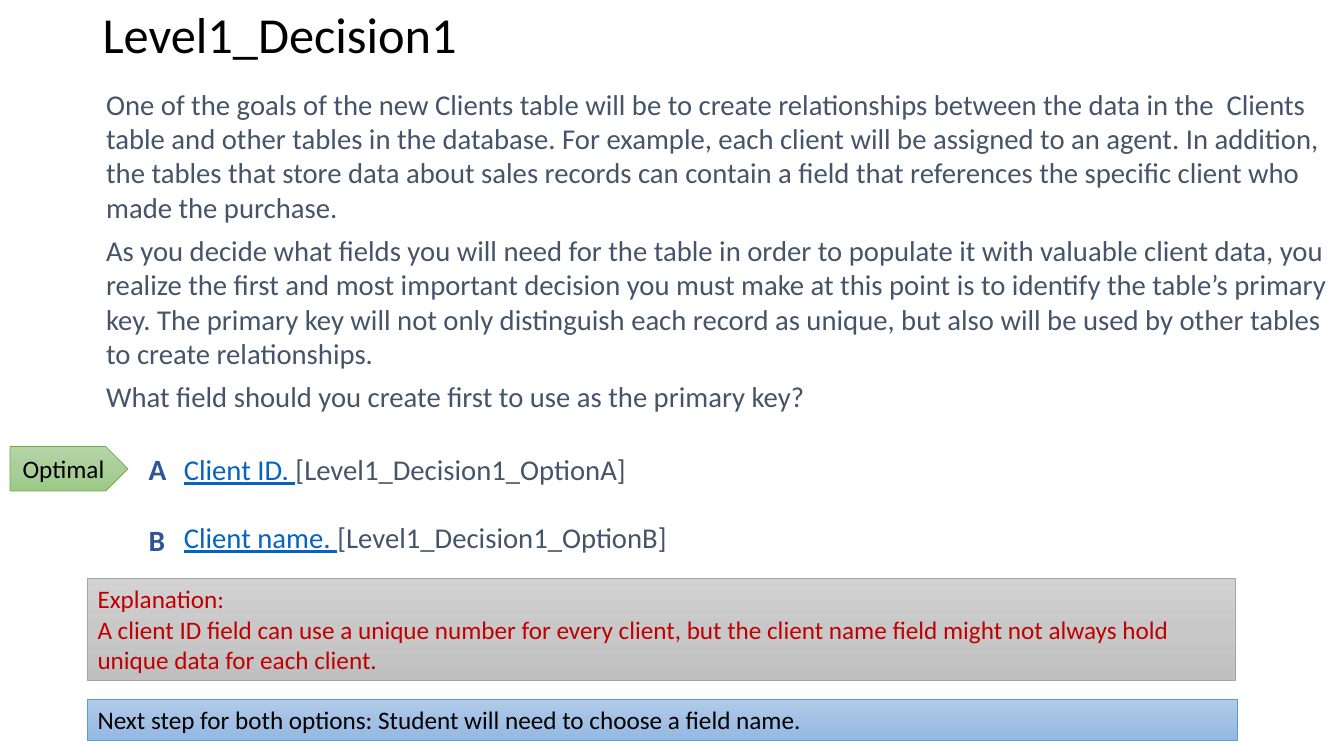
from copy import deepcopy

from pptx import Presentation
from pptx.dml.color import RGBColor
from pptx.enum.shapes import MSO_SHAPE as Shape
from pptx.enum.text import MSO_ANCHOR as Anchor, MSO_AUTO_SIZE as AutoSize, PP_ALIGN as Align
from pptx.oxml.ns import qn
from pptx.util import Pt

FONT = "Calibri"
BODY_SIZE = 20.5
BLACK = RGBColor(0x00, 0x00, 0x00)
SLATE = RGBColor(0x44, 0x54, 0x6A)
LINK_BLUE = RGBColor(0x05, 0x63, 0xC1)
LETTER_BLUE = RGBColor(0x2F, 0x55, 0x97)
RED = RGBColor(0xC0, 0x00, 0x00)
GREEN_LINE = RGBColor(0x70, 0xAD, 0x47)
GREY_LINE = RGBColor(0xA5, 0xA5, 0xA5)
BLUE_LINE = RGBColor(0x5B, 0x9B, 0xD5)
GREENS = [RGBColor(0xB5, 0xD5, 0xA7), RGBColor(0xAA, 0xCE, 0x9A), RGBColor(0x9C, 0xC9, 0x87)]
GREYS = [RGBColor(0xD2, 0xD2, 0xD2), RGBColor(0xC8, 0xC8, 0xC8), RGBColor(0xC0, 0xC0, 0xC0)]
BLUES = [RGBColor(0xB1, 0xCB, 0xE9), RGBColor(0xA3, 0xC1, 0xE5), RGBColor(0x93, 0xB9, 0xE4)]

SCENARIO = [
    "One of the goals of the new Clients table will be to create relationships between the data "
    "in the  Clients table and other tables in the database. For example, each client will be "
    "assigned to an agent. In addition, the tables that store data about sales records can contain "
    "a field that references the specific client who made the purchase.",
    "As you decide what fields you will need for the table in order to populate it with valuable "
    "client data, you realize the first and most important decision you must make at this point is "
    "to identify the table’s primary key. The primary key will not only distinguish each record as "
    "unique, but also will be used by other tables to create relationships.",
    "What field should you create first to use as the primary key?",
]
OPTIONS = [
    ("Client ID. ", "[Level1_Decision1_OptionA]"),
    ("Client name. ", "[Level1_Decision1_OptionB]"),
]
EXPLANATION = [
    "Explanation:",
    "A client ID field can use a unique number for every client, but the client name field might "
    "not always hold unique data for each client.",
]
NEXT_STEP = ["Next step for both options: Student will need to choose a field name."]


def style_run(run, size, color, bold=False, underline=False):
    font = run.font
    font.name, font.size, font.color.rgb = FONT, Pt(size), color
    font.bold, font.underline = bold, underline


def fill_paragraphs(frame, texts, size, color, bold=False):
    frame.text = "\n".join(texts)
    for paragraph in frame.paragraphs:
        for run in paragraph.runs:
            style_run(run, size, color, bold)


def add_text_frame(slide, left, top, width, height, side=9.6, edge=4.8):
    box = slide.shapes.add_textbox(Pt(left), Pt(top), Pt(width), Pt(height))
    frame = box.text_frame
    frame.word_wrap = True
    frame.margin_left = frame.margin_right = Pt(side)
    frame.margin_top = frame.margin_bottom = Pt(edge)
    return frame


def add_title(slide, title):
    frame = add_text_frame(slide, 66.2, 1.4, 828, 50.4, side=7.2, edge=3.6)
    frame.vertical_anchor = Anchor.MIDDLE
    fill_paragraphs(frame, [title], 36, BLACK)
    frame.paragraphs[0].line_spacing = 0.9


def add_scenario(slide):
    frame = add_text_frame(slide, 66.2, 56.9, 894.2, 257)
    fill_paragraphs(frame, SCENARIO, BODY_SIZE, SLATE)
    for paragraph in frame.paragraphs:
        paragraph.space_after = Pt(6)


def add_options(slide):
    frame = add_text_frame(slide, 121.7, 318.2, 499, 90.7)
    for index, (answer, target) in enumerate(OPTIONS):
        paragraph = frame.add_paragraph() if index else frame.paragraphs[0]
        for text, color, underline in ((answer, LINK_BLUE, True), (target, SLATE, False)):
            run = paragraph.add_run()
            run.text = text
            style_run(run, BODY_SIZE, color, underline=underline)
    frame.paragraphs[-1].space_before = Pt(24)


def add_option_letter(slide, letter, top):
    frame = add_text_frame(slide, 96.5, top, 49, 32)
    fill_paragraphs(frame, [letter], 21, LETTER_BLUE, bold=True)


def apply_gradient(shape, colors):
    """Fill from top to bottom with three evenly spaced colours."""
    shape.fill.gradient()
    shape.fill.gradient_angle = 270
    stop_list = shape._element.spPr.find(qn("a:gradFill")).find(qn("a:gsLst"))
    stop_list.insert(1, deepcopy(stop_list[0]))
    for index, (stop, color) in enumerate(zip(shape.fill.gradient_stops, colors)):
        stop.position = index / 2
        stop.color.rgb = color


def add_banner(slide, kind, bounds, colors, outline, texts, text_color):
    banner = slide.shapes.add_shape(kind, *map(Pt, bounds))
    banner.shadow.inherit = False
    apply_gradient(banner, colors)
    banner.line.color.rgb = outline
    banner.line.width = Pt(0.5)
    frame = banner.text_frame
    frame.word_wrap = True
    fill_paragraphs(frame, texts, 18, text_color)
    is_tag = kind == Shape.PENTAGON
    frame.vertical_anchor = Anchor.MIDDLE if is_tag else Anchor.TOP
    frame.auto_size = AutoSize.NONE if is_tag else AutoSize.SHAPE_TO_FIT_TEXT
    for paragraph in frame.paragraphs:
        paragraph.alignment = Align.CENTER if is_tag else Align.LEFT


def main():
    deck = Presentation()
    deck.slide_width, deck.slide_height = Pt(960), Pt(540)
    slide = deck.slides.add_slide(deck.slide_layouts[6])

    add_scenario(slide)
    add_options(slide)
    add_option_letter(slide, "A", 317.5)
    add_option_letter(slide, "B", 367.9)
    add_title(slide, "Level1_Decision1")
    add_banner(slide, Shape.PENTAGON, (7.2, 319, 84.2, 31.7), GREENS, GREEN_LINE,
               ["Optimal"], BLACK)
    add_banner(slide, Shape.RECTANGLE, (62.6, 413.3, 820, 72.7), GREYS, GREY_LINE,
               EXPLANATION, RED)
    add_banner(slide, Shape.RECTANGLE, (62.6, 499.7, 821.5, 29), BLUES, BLUE_LINE,
               NEXT_STEP, BLACK)
    deck.save("out.pptx")


if __name__ == "__main__":
    main()
